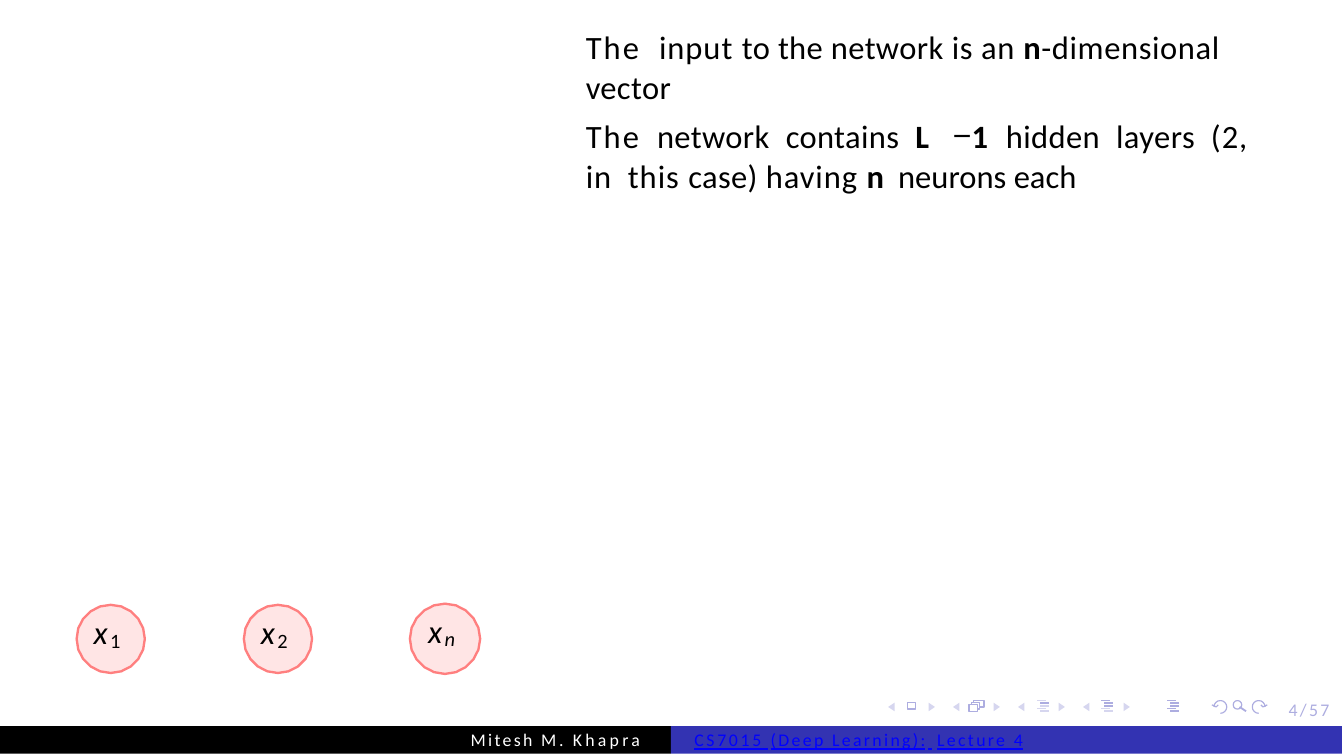
"""Builds the lecture slide on the input and hidden layers of a feedforward network."""
import math

from pptx import Presentation
from pptx.dml.color import RGBColor
from pptx.enum.shapes import MSO_CONNECTOR, MSO_SHAPE
from pptx.enum.text import MSO_ANCHOR, MSO_AUTO_SIZE, PP_ALIGN
from pptx.oxml.ns import qn
from pptx.util import Inches, Pt

STRAIGHT, RECTANGLE = MSO_CONNECTOR.STRAIGHT, MSO_SHAPE.RECTANGLE
TOP, LEFT, NO_FIT = MSO_ANCHOR.TOP, PP_ALIGN.LEFT, MSO_AUTO_SIZE.NONE

COLORS = {"text": "000000", "white": "FFFFFF", "link": "0000FF", "bar": "3333B2",
          "icon": "ADADE0", "pale": "D6D6EF", "neuron": "FFE5E5", "rim": "FF7F7F"}

BOLD = {"bold": True}
ITALIC = {"italic": True}
MINUS = {"name": "Noto Sans CJK SC"}
GAP = (" ", 2.8, {})
STATEMENTS = [
    [("The", 0.7, {}), (" ", 3.5, {}), ("input ", 0.3, {}), ("to the network ", 0.1, {}),
     ("is an ", 0.2, {}), ("n", 0.2, BOLD), ("-dimensional ", 0.2, {}), ("vector", 0.1, {})],
    [("The", 0.7, {}), GAP, ("network", 0.1, {}), GAP, ("contains", 0.1, {}), GAP,
     ("L ", 2.9, BOLD), ("− ", -2.5, MINUS), ("1", 0.7, BOLD), GAP,
     ("hidden", 0.1, {}), GAP, ("layers", 0.15, {}), GAP, ("(2, in", 0.3, {}), GAP,
     ("this ", 0.3, {}), ("case) ", 0.1, {}), ("having ", 0.3, {}), ("n ", 1.1, BOLD),
     ("neurons each", 0, {})],
]
NEURONS = [("1", {}, 0.16), ("2", {}, 0.16), ("n", ITALIC, 0.165)]
FOOTERS = [
    ("text", "white", 2.21, [("Mitesh ", 0.8, {}), ("M. ", 0.9, {}), ("Khapra", 1.1, {})]),
    ("bar", "link", 0.11, [("CS7015 ", 0.9, {"underline": True}),
                           ("(Deep Learning):", 0.8, {"underline": True}),
                           (" ", 1.8, {"underline": True}),
                           ("Lecture 4", 0.8, {"underline": True})]),
]
PAGE_NUMBER = [("4/57", 0.8, {})]

NAV_TOP, NAV_STEP = 3.29, 0.305
PAGE_ICON = [
    ([(4.26, 3.33), (4.3, 3.33), (4.3, 3.3), (4.26, 3.3)], True),
    ([(4.55, 3.34), (4.59, 3.34), (4.59, 3.31), (4.55, 3.31)], True),
    ([(4.56, 3.31), (4.56, 3.3), (4.6, 3.3), (4.6, 3.33), (4.59, 3.33)], False),
    ([(4.57, 3.3), (4.57, 3.29), (4.62, 3.29), (4.62, 3.32), (4.6, 3.32)], False),
]
BAR_INDENTS = [0, 0.015, 0.015, 0, 0.015]
BAR_ICONS = [(4.87, [1]), (5.17, [0, 1, 2]), (5.48, [0, 1, 2, 3, 4])]
UNDO_HEAD = [(5.72, 3.31), (5.71, 3.32), (5.69, 3.31)]
MIRROR_X = 5.82


def rgb(key):
    """Return the named colour."""
    return RGBColor.from_string(COLORS[key])


def arc(x, y, radius, start, sweep, steps):
    """Return points along a circle, with angles in degrees."""
    angles = [math.radians(start + sweep * step / steps) for step in range(steps + 1)]
    return [(x + radius * math.cos(angle), y + radius * math.sin(angle)) for angle in angles]


def paint(shape, fill=None, line=None, width=0.4):
    """Set fill and outline, and drop the shadow."""
    shape.shadow.inherit = False
    if fill:
        shape.fill.solid()
        shape.fill.fore_color.rgb = rgb(fill)
    else:
        shape.fill.background()
    if line:
        shape.line.color.rgb = rgb(line)
        shape.line.width = Pt(width)
    else:
        shape.line.fill.background()


def outline(page, points, closed=True, **style):
    """Draw a polygon or an open polyline."""
    corners = [(Inches(x), Inches(y)) for x, y in points]
    builder = page.shapes.build_freeform(*corners[0], scale=1.0)
    builder.add_line_segments(corners[1:], close=closed)
    shape = builder.convert_to_shape()
    paint(shape, **style)
    return shape


def stroke(page, start, end, color):
    """Draw one short straight line."""
    line = page.shapes.add_connector(STRAIGHT, *[Inches(v) for v in start + end])
    line.line.color.rgb = rgb(color)
    line.line.width = Pt(0.6)
    properties = line._element.spPr
    properties.append(properties.makeelement(qn("a:effectLst"), {}))


def set_frame(box, left=0, top=0, wrap=False):
    """Set the insets of a text frame and return it."""
    frame = box.text_frame
    settings = {"margin_left": Inches(left), "margin_top": Inches(top), "margin_right": 0,
                "margin_bottom": 0, "word_wrap": wrap, "auto_size": NO_FIT,
                "vertical_anchor": TOP}
    for name, value in settings.items():
        setattr(frame, name, value)
    return frame


def write(para, spans, color, size, **layout):
    """Fill a paragraph with spans of text, letter spacing and format."""
    for name, value in {"alignment": LEFT, **layout}.items():
        setattr(para, name, value)
    for text, spacing, changes in spans:
        span = para.add_run()
        span.text = text
        span.font.color.rgb = rgb(color)
        for name, value in {"name": "Calibri", "size": Pt(size), **changes}.items():
            setattr(span.font, name, value)
        span._r.get_or_add_rPr().set("spc", str(round(spacing * 100)))


def add_navigation(page):
    """Draw the row of navigation symbols."""
    middle = NAV_TOP + 0.03
    for index in range(4):
        for tip, base in ((4.17, 4.2), (4.39, 4.36)):
            x, back = tip + index * NAV_STEP, base + index * NAV_STEP
            outline(page, [(x, middle), (back, middle - 0.02), (back, middle + 0.02)],
                    fill="pale")
    for points, closed in PAGE_ICON:
        outline(page, points, closed, line="icon")
    for left, strong in BAR_ICONS:
        for row, indent in enumerate(BAR_INDENTS):
            x, y = left + indent, NAV_TOP + row * 0.05 / 4
            stroke(page, (x, y), (x + 0.04, y), "icon" if row in strong else "pale")
    stroke(page, (5.82, 3.32), (5.85, 3.34), "icon")
    outline(page, arc(5.81, 3.31, 0.02, 0, 360, 12)[:-1], line="icon")
    for points in (arc(5.73, 3.32, 0.03, 90, -270, 12), UNDO_HEAD):
        outline(page, points, False, line="icon")
        outline(page, [(2 * MIRROR_X - x, y) for x, y in points], False, line="icon")


def add_neurons(page):
    """Draw the labelled input neurons."""
    for index, (label, style, radius) in enumerate(NEURONS):
        x = 0.52 + index * 0.785
        shape = outline(page, arc(x, 3, radius, 0, 360, 20)[:-1],
                        fill="neuron", line="rim", width=0.8)
        para = set_frame(shape, left=radius - 0.08, top=0.02).paragraphs[0]
        write(para, [("x", 0.8, ITALIC), (label, 1.2, {"size": Pt(12), **style})],
              "text", 11, space_before=Pt(0.9))
        para.runs[1]._r.get_or_add_rPr().set("baseline", "-10000")


def add_statements(page):
    """Fill the body placeholder with the two statements."""
    body = page.placeholders[1]
    for name, value in {"left": 2.74, "top": 0.11, "width": 3.2, "height": 0.82}.items():
        setattr(body, name, Inches(value))
    frame = set_frame(body, top=0.01, wrap=True)
    for index, spans in enumerate(STATEMENTS):
        para = frame.add_paragraph() if index else frame.paragraphs[0]
        write(para, spans, "text", 11, line_spacing=1.03,
              space_before=Pt(3 if index else 0.6))
        properties = para._p.get_or_add_pPr()
        properties.set("marL", str(Inches(0.01)))
        properties.set("indent", "0")
        properties.append(properties.makeelement(qn("a:buNone"), {}))


def add_footer(page):
    """Draw the two footer bars and the page number."""
    for index, (fill, color, inset, spans) in enumerate(FOOTERS):
        bar = page.shapes.add_shape(RECTANGLE, Inches(index * 3.15), Inches(3.41),
                                    Inches(3.15), Inches(0.13))
        paint(bar, fill=fill)
        para = set_frame(bar, left=inset, top=0.02).paragraphs[0]
        write(para, spans, color, 6, line_spacing=Pt(6.7))
    box = page.shapes.add_textbox(Inches(6.05), Inches(3.29), Inches(0.23), Inches(0.11))
    write(set_frame(box).paragraphs[0], PAGE_NUMBER, "icon", 6, line_spacing=Pt(6.7))


def main():
    """Build and save the deck."""
    deck = Presentation()
    deck.slide_width, deck.slide_height = Inches(6.31), Inches(3.55)
    page = deck.slides.add_slide(deck.slide_layouts[1])
    title = page.shapes.title._element
    title.getparent().remove(title)
    add_navigation(page)
    add_neurons(page)
    add_statements(page)
    add_footer(page)
    deck.save("out.pptx")


if __name__ == "__main__":
    main()
